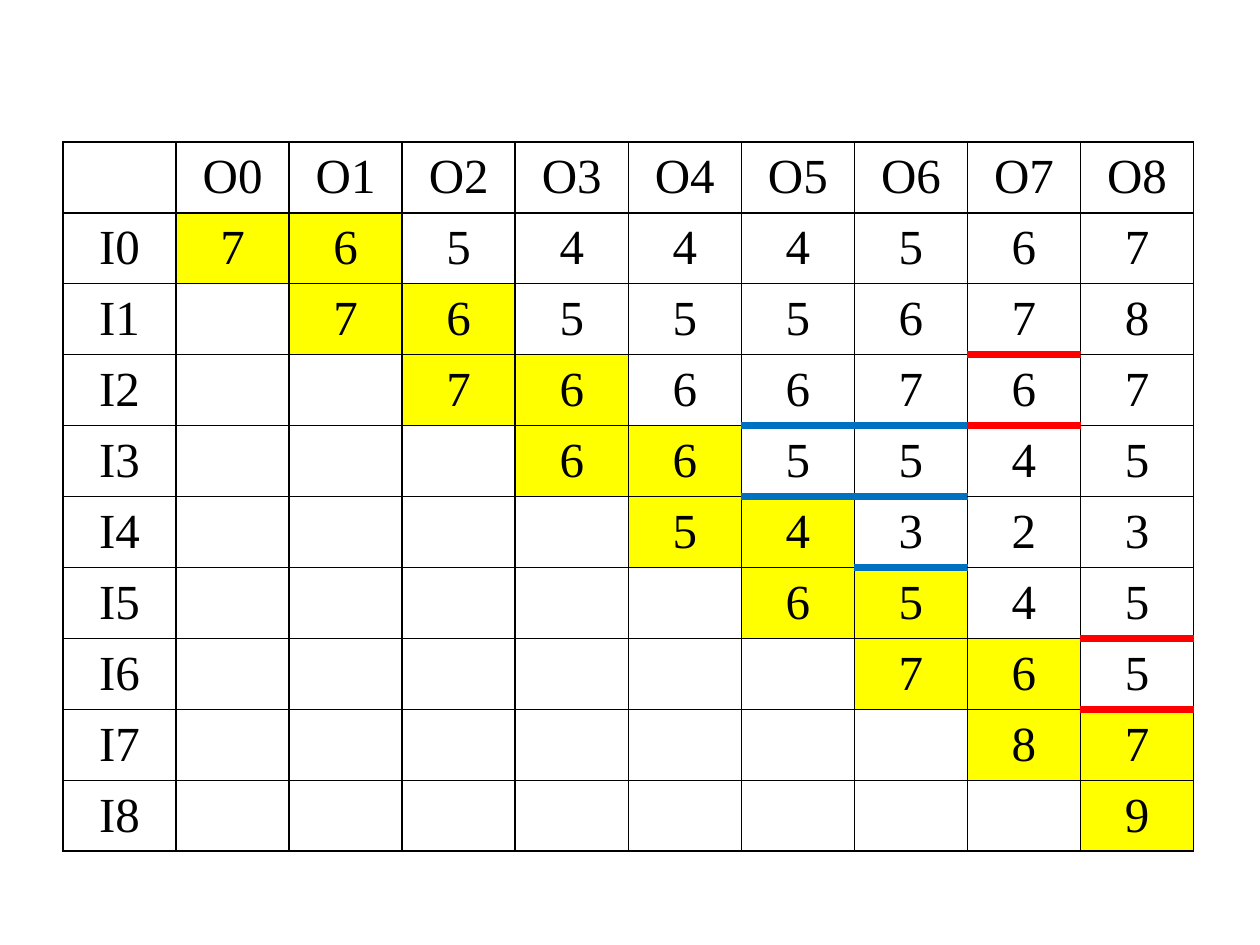
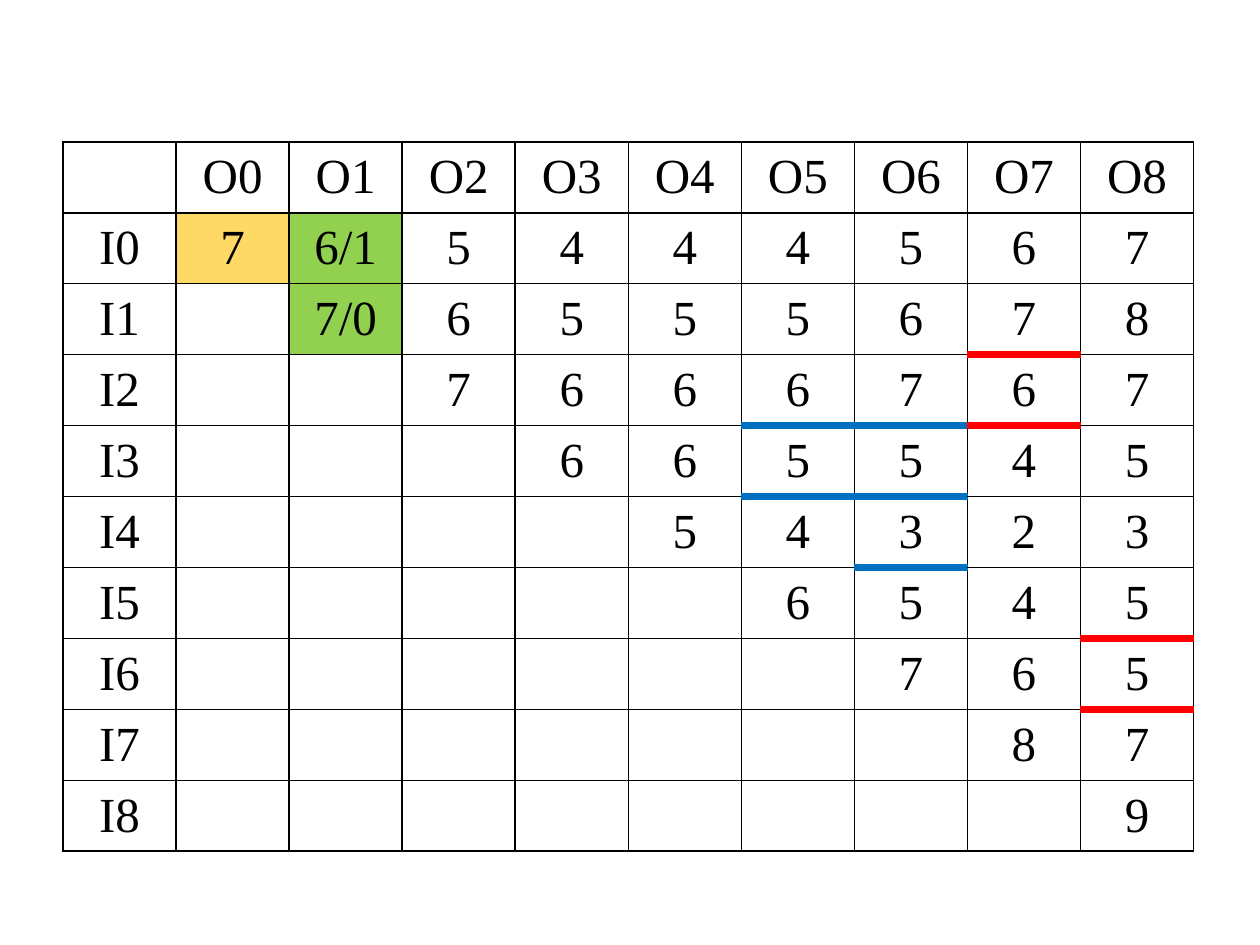
from dataclasses import dataclass

from pptx import Presentation
from pptx import util as u
from pptx.dml.color import RGBColor
from pptx.enum import text
from pptx.oxml import ns, xmlchemy
from lxml import etree

# Shared style
BLACK = RGBColor(0x00, 0x00, 0x00)
YELLOW = RGBColor(0xFF, 0xFF, 0x00)
AMBER = RGBColor(0xFF, 0xD9, 0x66)
GREEN = RGBColor(0x92, 0xD0, 0x50)
RED = RGBColor(0xFF, 0x00, 0x00)
BLUE = RGBColor(0x00, 0x70, 0xC0)
FONT = "Times New Roman"
FONT_SIZE = u.Pt(28)
THIN, THICK = u.Pt(1), u.Pt(4.5)

# Grid geometry
LEFT, TOP = u.Cm(1.27), u.Cm(2.86)
COL_W, ROW_H = u.Cm(2.28), u.Cm(1.43)

Position = tuple[int, int]  # (input index, output index)

# Upper triangle: the row of input i starts at output i
COSTS = [
    "7 6 5 4 4 4 5 6 7",
    "7 6 5 5 5 6 7 8",
    "7 6 6 6 7 6 7",
    "6 6 5 5 4 5",
    "5 4 3 2 3",
    "6 5 4 5",
    "7 6 5",
    "8 7",
    "9",
]
COUNT = len(COSTS)

# Thick separators under the given cells
SEPARATORS: dict[Position, RGBColor] = {
    **dict.fromkeys([(1, 7), (2, 7), (5, 8), (6, 8)], RED),
    **dict.fromkeys([(2, 5), (2, 6), (3, 5), (3, 6), (4, 6)], BLUE),
}


@dataclass
class CostGrid:
    fills: dict[Position, RGBColor]
    replaced: dict[Position, str]


def cell_text(grid: CostGrid, i: int, o: int) -> str:
    if i < 0:
        return f"O{o}" if o >= 0 else ""
    if o < 0:
        return f"I{i}"
    if o < i:
        return ""
    return grid.replaced.get((i, o), COSTS[i].split()[o - i])


def add_border(cell, side: str, color: RGBColor, width: int) -> None:
    tc_pr = cell._tc.get_or_add_tcPr()
    ln = etree.SubElement(tc_pr, ns.qn(f"a:ln{side}"), w=str(int(width)))
    fill = etree.SubElement(ln, ns.qn("a:solidFill"))
    etree.SubElement(fill, ns.qn("a:srgbClr"), val=str(color))


def style_cell(cell, grid: CostGrid, i: int, o: int) -> None:
    # Borders come before the fill in the cell properties
    separators = {"T": SEPARATORS.get((i - 1, o)), "B": SEPARATORS.get((i, o))}
    for side in "LRTB":
        color = separators.get(side)
        add_border(cell, side, color or BLACK, THICK if color else THIN)

    if (i, o) in grid.fills:
        cell.fill.solid()
        cell.fill.fore_color.rgb = grid.fills[i, o]
    else:
        cell.fill.background()

    cell.vertical_anchor = text.MSO_ANCHOR.MIDDLE
    p = cell.text_frame.paragraphs[0]
    p.text = cell_text(grid, i, o)
    p.alignment = text.PP_ALIGN.CENTER
    p.font.name = FONT
    p.font.size = FONT_SIZE
    p.font.color.rgb = BLACK


def add_grid_slide(prs, grid: CostGrid) -> None:
    s = prs.slides.add_slide(prs.slide_layouts[6])
    size = COUNT + 1
    table = s.shapes.add_table(
        size, size, LEFT, TOP, COL_W * size, ROW_H * size).table
    table.first_row = table.horz_banding = False
    for k in range(size):
        table.columns[k].width = COL_W
        table.rows[k].height = ROW_H
    for row in range(size):
        for col in range(size):
            style_cell(table.cell(row, col), grid, row - 1, col - 1)


def main() -> None:
    prs = Presentation()
    prs.slide_width, prs.slide_height = u.Cm(25.4), u.Cm(19.05)

    # Diagonal band, two cells wide
    band = {(i, o): YELLOW for i in range(COUNT)
            for o in (i, i + 1) if o < COUNT}
    add_grid_slide(prs, CostGrid(band, {}))

    # First steps of the path
    steps = {(0, 0): AMBER, (0, 1): GREEN, (1, 1): GREEN}
    add_grid_slide(prs, CostGrid(steps, {(0, 1): "6/1", (1, 1): "7/0"}))

    prs.save("out.pptx")


if __name__ == "__main__":
    main()
